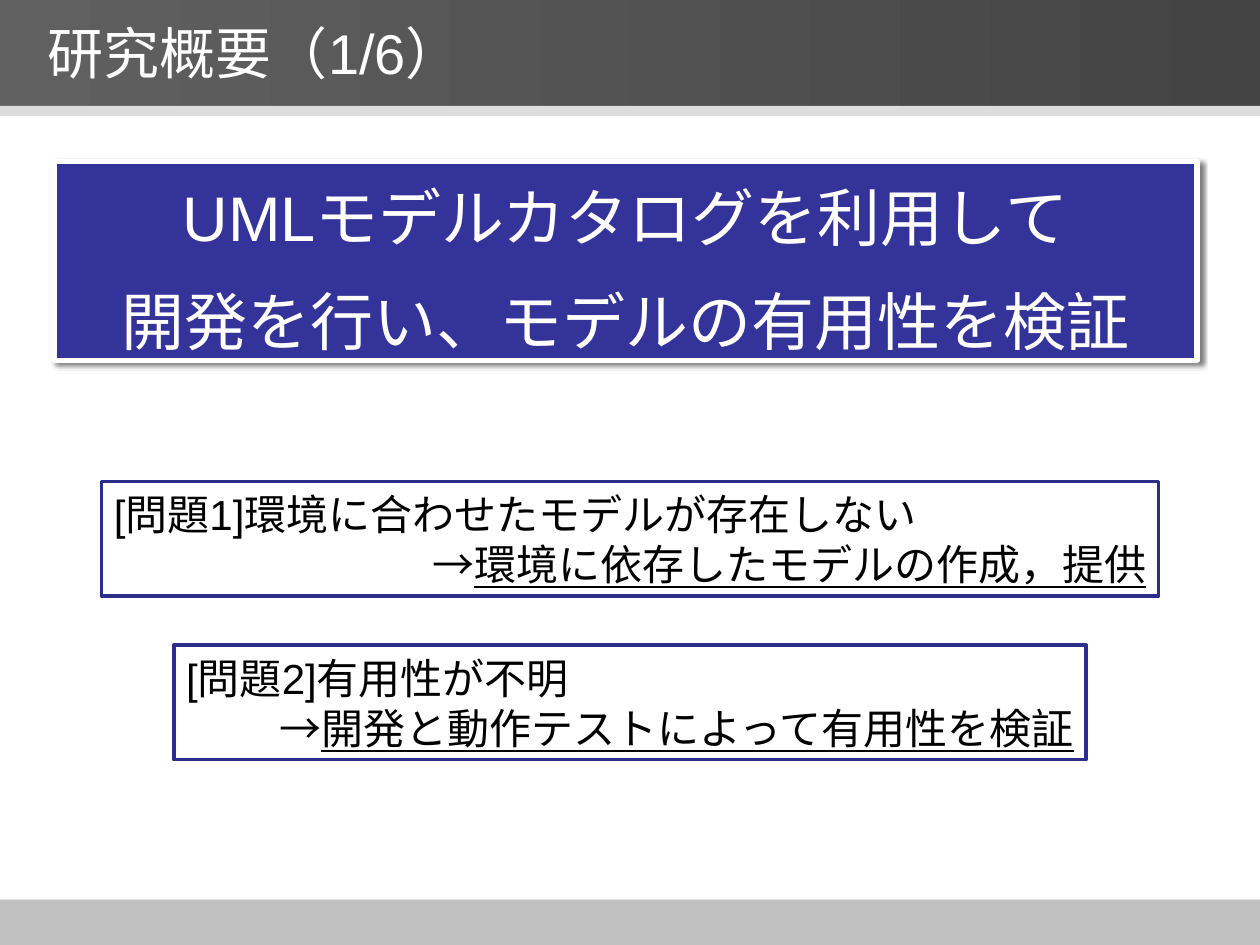
"""Build the research overview slide with its banner and two problem boxes."""
import pptx
import pptx.dml.color
import pptx.enum.shapes
import pptx.enum.text
import pptx.util
from lxml import etree

WIDE, HIGH = 10, 7.5
FONT = "Arial"
TITLE = [("l", [("研究概要（1/6）", False)])]
GOAL = [
    ("c", [("UMLモデルカタログを利用して", False)]),
    ("c", [("開発を行い、モデルの有用性を検証", False)]),
]
ISSUES = [
    (8.39, "[問題1]環境に合わせたモデルが存在しない", "環境に依存したモデルの作成，提供"),
    (7.24, "[問題2]有用性が不明", "開発と動作テストによって有用性を検証"),
]
BANDS = [(7.14, 0.36, "C0C0C0"), (0, 0.84, "606060"), (0.84, 0.08, "DDDDDD")]
ISSUE_TOP, ISSUE_STEP, ISSUE_HIGH = 3.82, 1.3, 0.91

ALIGN = pptx.enum.text.PP_ALIGN
SIDES = {"l": ALIGN.LEFT, "c": ALIGN.CENTER, "r": ALIGN.RIGHT}
RECT = pptx.enum.shapes.MSO_SHAPE.RECTANGLE
SHADE = (
    '<a:effectLst xmlns:a="http://schemas.openxmlformats.org/drawingml/2006/main">'
    '<a:outerShdw blurRad="38100" dist="25400" dir="2700000" algn="tl">'
    '<a:srgbClr val="000000"><a:alpha val="50000"/></a:srgbClr>'
    "</a:outerShdw></a:effectLst>"
)


def tint(code):
    return pptx.dml.color.RGBColor.from_string(code)


def box(left, top, wide, high, fill, edge=None, weight=2):
    shape = slide.shapes.add_shape(RECT, *map(pptx.util.Inches, (left, top, wide, high)))
    shape.shadow.inherit = False
    shape.fill.solid()
    shape.fill.fore_color.rgb = tint(fill)
    if edge:
        shape.line.color.rgb = tint(edge)
        shape.line.width = pptx.util.Pt(weight)
    else:
        shape.line.fill.background()
    return shape


def write(shape, paras, size, color, space=1.0, before=0):
    frame = shape.text_frame
    frame.word_wrap = True
    frame.vertical_anchor = pptx.enum.text.MSO_ANCHOR.MIDDLE
    for i, (side, runs) in enumerate(paras):
        para = frame.paragraphs[0] if i == 0 else frame.add_paragraph()
        para.alignment = SIDES[side]
        para.line_spacing = space
        para.space_before = pptx.util.Pt(before)
        for text, under in runs:
            run = para.add_run()
            run.text = text
            run.font.name = FONT
            run.font.size = pptx.util.Pt(size)
            run.font.color.rgb = tint(color)
            if under:
                run.font.underline = True


deck = pptx.Presentation()
deck.slide_width = pptx.util.Inches(WIDE)
deck.slide_height = pptx.util.Inches(HIGH)
slide = deck.slides.add_slide(deck.slide_layouts[6])

foot, head, rule = [box(0, top, WIDE, high, fill) for top, high, fill in BANDS]
head.fill.gradient()
head.fill.gradient_angle = 0
for stop, code in zip(head.fill.gradient_stops, ("606060", "444444")):
    stop.color.rgb = tint(code)

title = slide.shapes.add_textbox(*map(pptx.util.Inches, (0.28, 0, 9.39, 0.83)))
write(title, TITLE, 32, "FFFFFF")

goal = box(0.43, 1.28, 9.07, 1.58, "333399", "FFFFFF", 3)
props = goal.fill._xPr
props.replace(props.find("{*}effectLst"), etree.fromstring(SHADE))
write(goal, GOAL, 36, "FFFFFF", 1.2, 7.2)

for i, (wide, issue, answer) in enumerate(ISSUES):
    top = ISSUE_TOP + i * ISSUE_STEP
    card = box((WIDE - wide) / 2, top, wide, ISSUE_HIGH, "FFFFFF", "2D2D8A")
    paras = [("l", [(issue, False)]), ("r", [("→", False), (answer, True)])]
    write(card, paras, 24, "000000")

deck.save("out.pptx")
